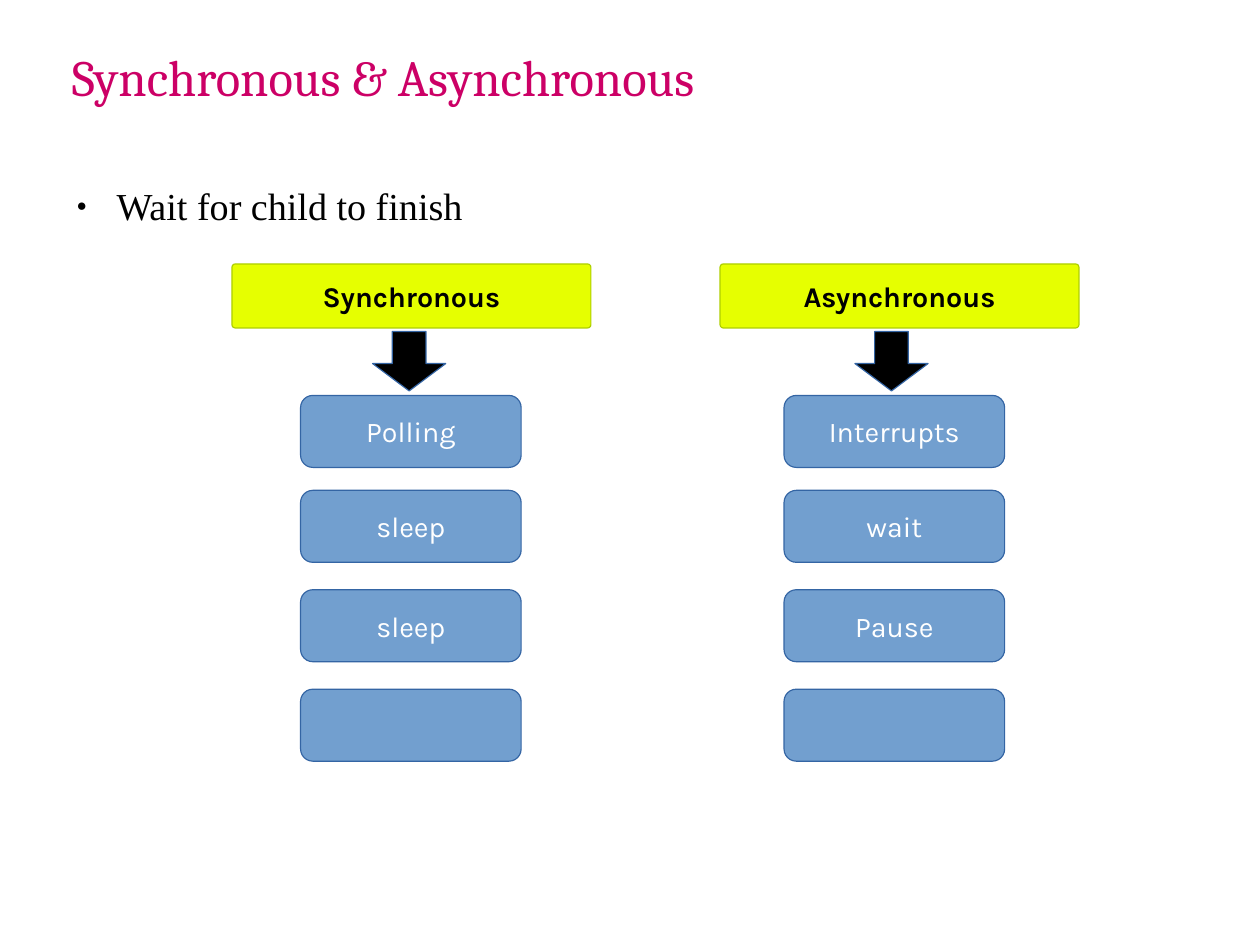
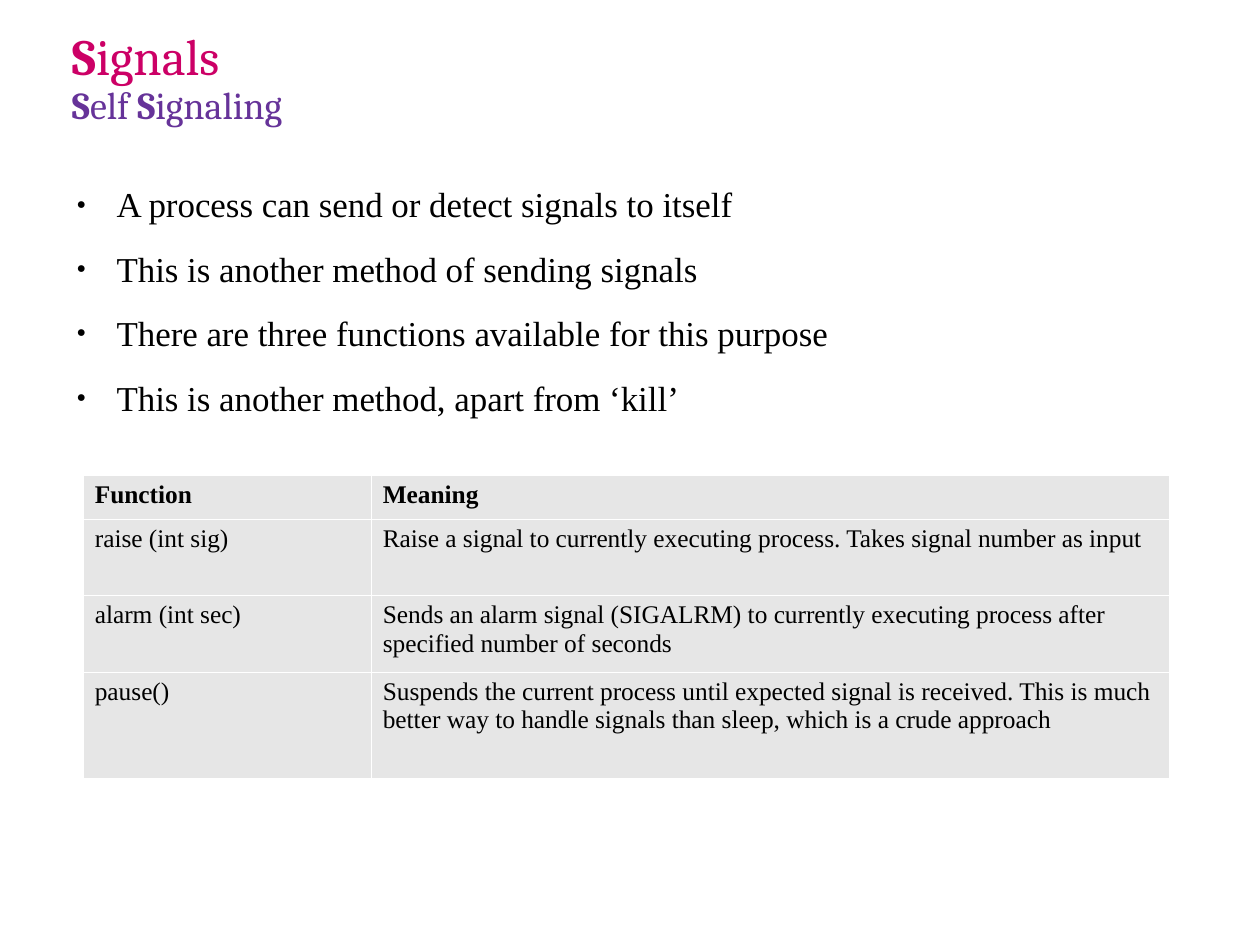
"""Build two slides on waiting for child processes and self signaling."""
from lxml.etree import SubElement
from pptx import Presentation
from pptx.dml.color import RGBColor
from pptx.enum.shapes import MSO_SHAPE
from pptx.enum.text import MSO_ANCHOR, PP_ALIGN
from pptx.oxml.ns import qn
from pptx.util import Inches, Pt

COLORS = {
    "title": "CC0066", "subtitle": "663399", "text": "000000",
    "white": "FFFFFF", "head": "E6FF00", "head_line": "AECF00",
    "step": "729FCF", "line": "3465A4", "arrow": "000000", "cell": "E6E6E6",
}
TITLE = {"name": "Cambria", "size": Pt(32), "color": "title"}
SUBTITLE = {**TITLE, "size": Pt(24), "color": "subtitle"}
BODY = {"name": "Times New Roman", "size": Pt(24), "color": "text"}
CELL = {**BODY, "size": Pt(16)}
STEP = {"name": "Karla", "size": Pt(18), "color": "white"}
HEAD = {**STEP, "color": "text", "bold": True}
MARGINS = ("margin_left", "margin_top", "margin_right", "margin_bottom")
STEP_TOPS = (3.46, 4.29, 5.16, 6.03)
CM_PER_INCH = 2.54


def rgb(key):
    """Return the named colour."""
    return RGBColor.from_string(COLORS[key])


def add_run(p, text, style):
    """Add a run with the given format values."""
    r = p.add_run()
    r.text = text
    for name, value in style.items():
        if name == "color":
            r.font.color.rgb = rgb(value)
        else:
            setattr(r.font, name, value)


def add_box(s, left, top, width, height, anchor):
    """Add a wrapping text box without margins and return its text frame."""
    sp = s.shapes.add_textbox(*map(Inches, (left, top, width, height)))
    tf = sp.text_frame
    tf.word_wrap = True
    tf.vertical_anchor = anchor
    for name in MARGINS:
        setattr(tf, name, 0)
    return tf


def add_title(s, *lines):
    """Add the title from lines of (text, style) runs."""
    p = add_box(s, 0.63, 0.01, 9.85, 1.38, MSO_ANCHOR.MIDDLE).paragraphs[0]
    p.line_spacing = 0.9
    for i, line in enumerate(lines):
        if i:
            p.add_line_break()
        for text, style in line:
            add_run(p, text, style)


def add_bullets(s, items, height, size):
    """Add the bulleted body text."""
    tf = add_box(s, 0.55, 1.6, 9.92, height, MSO_ANCHOR.TOP)
    for i, item in enumerate(items):
        p = tf.add_paragraph() if i else tf.paragraphs[0]
        p.space_after = Pt(14.2)
        pPr = p._p.get_or_add_pPr()
        pPr.set("marL", str(Inches(0.47)))
        pPr.set("indent", str(Inches(-0.35)))
        color = SubElement(pPr, qn("a:buClr"))
        SubElement(color, qn("a:srgbClr"), val=COLORS["text"])
        SubElement(pPr, qn("a:buSzPct"), val="45000")
        SubElement(pPr, qn("a:buFont"), typeface=BODY["name"])
        SubElement(pPr, qn("a:buChar"), char="●")
        add_run(p, item, {**BODY, "size": Pt(size)})


def add_block(s, kind, at, adjustments, fill, line, text="", style=STEP):
    """Add a filled shape with a hairline outline and centred text."""
    sp = s.shapes.add_shape(kind, *map(Inches, at))
    sp.shadow.inherit = False
    for i, value in enumerate(adjustments):
        sp.adjustments[i] = value
    sp.fill.solid()
    sp.fill.fore_color.rgb = rgb(fill)
    sp.line.color.rgb = rgb(line)
    sp.line.width = Pt(0)
    if text:
        tf = sp.text_frame
        tf.word_wrap = False
        tf.vertical_anchor = MSO_ANCHOR.MIDDLE
        p = tf.paragraphs[0]
        p.alignment = PP_ALIGN.CENTER
        add_run(p, text, style)


def add_column(s, left, step_left, arrow_left, head, steps):
    """Add a heading, its arrow and the steps below."""
    box = MSO_SHAPE.ROUNDED_RECTANGLE
    add_block(s, box, (left, 2.31, 3.14, 0.56), [0.05], "head", "head_line", head, HEAD)
    add_block(s, MSO_SHAPE.DOWN_ARROW, (arrow_left, 2.9, 0.64, 0.52), [0.46, 0.46], "arrow", "line")
    for top, step in zip(STEP_TOPS, steps):
        add_block(s, box, (step_left, top, 1.93, 0.63), [0.17], "step", "line", step)


def format_cell(cell, text, bold):
    """Fill, border and write one table cell."""
    tcPr = cell._tc.get_or_add_tcPr()
    for side in ("a:lnL", "a:lnR", "a:lnT", "a:lnB"):
        ln = SubElement(tcPr, qn(side), w=str(Pt(0.06)))
        fill = SubElement(ln, qn("a:solidFill"))
        SubElement(fill, qn("a:srgbClr"), val=COLORS["white"])
    cell.fill.solid()
    cell.fill.fore_color.rgb = rgb("cell")
    add_run(cell.text_frame.paragraphs[0], text, {**CELL, "bold": bold})


def add_grid(s, left, top, widths, heights, rows):
    """Add a table whose first row is bold."""
    size = (left, top, sum(widths), sum(heights))
    table = s.shapes.add_table(len(rows), len(widths), *map(Inches, size)).table
    for column, width in zip(table.columns, widths):
        column.width = Inches(width)
    for i, (row, height, texts) in enumerate(zip(table.rows, heights, rows)):
        row.height = Inches(height)
        for cell, text in zip(row.cells, texts):
            format_cell(cell, text, i == 0)


def add_waiting_slide(prs):
    """Compare synchronous and asynchronous waiting."""
    s = prs.slides.add_slide(prs.slide_layouts[6])
    add_title(s, [("Synchronous & Asynchronous", TITLE)])
    add_bullets(s, ["Wait for child to finish"], 5.6, 24)
    add_column(s, 2.03, 2.63, 3.26, "Synchronous", ["Polling", "sleep", "sleep", ""])
    add_column(s, 6.3, 6.86, 7.48, "Asynchronous", ["Interrupts", "wait", "Pause", ""])


def add_signals_slide(prs):
    """List the self signaling functions."""
    s = prs.slides.add_slide(prs.slide_layouts[6])
    bold = {**SUBTITLE, "bold": True}
    add_title(
        s,
        [("S", {**TITLE, "bold": True}), ("ignals", TITLE)],
        [("S", bold), ("elf ", SUBTITLE), ("S", bold), ("ignaling", SUBTITLE)],
    )
    add_bullets(s, [
        "A process can send or detect signals to itself",
        "This is another method of sending signals",
        "There are three functions available for this purpose",
        "This is another method, apart from ‘kill’",
    ], 2.42, 22)
    add_grid(s, 0.73, 4.16, [2.52, 6.98], [0.38, 0.67, 0.67, 0.93], [
        ("Function", "Meaning"),
        ("raise (int sig)",
         "Raise a signal to currently executing process. Takes signal number as input"),
        ("alarm (int sec)",
         "Sends an alarm signal (SIGALRM) to currently executing process after "
         "specified number of seconds"),
        ("pause()",
         "Suspends the current process until expected signal is received. This is much "
         "better way to handle signals than sleep, which is a crude approach"),
    ])


def main():
    """Build and save the presentation."""
    prs = Presentation()
    prs.slide_width = Inches(28 / CM_PER_INCH)
    prs.slide_height = Inches(21 / CM_PER_INCH)
    add_waiting_slide(prs)
    add_signals_slide(prs)
    prs.save("out.pptx")


if __name__ == "__main__":
    main()
